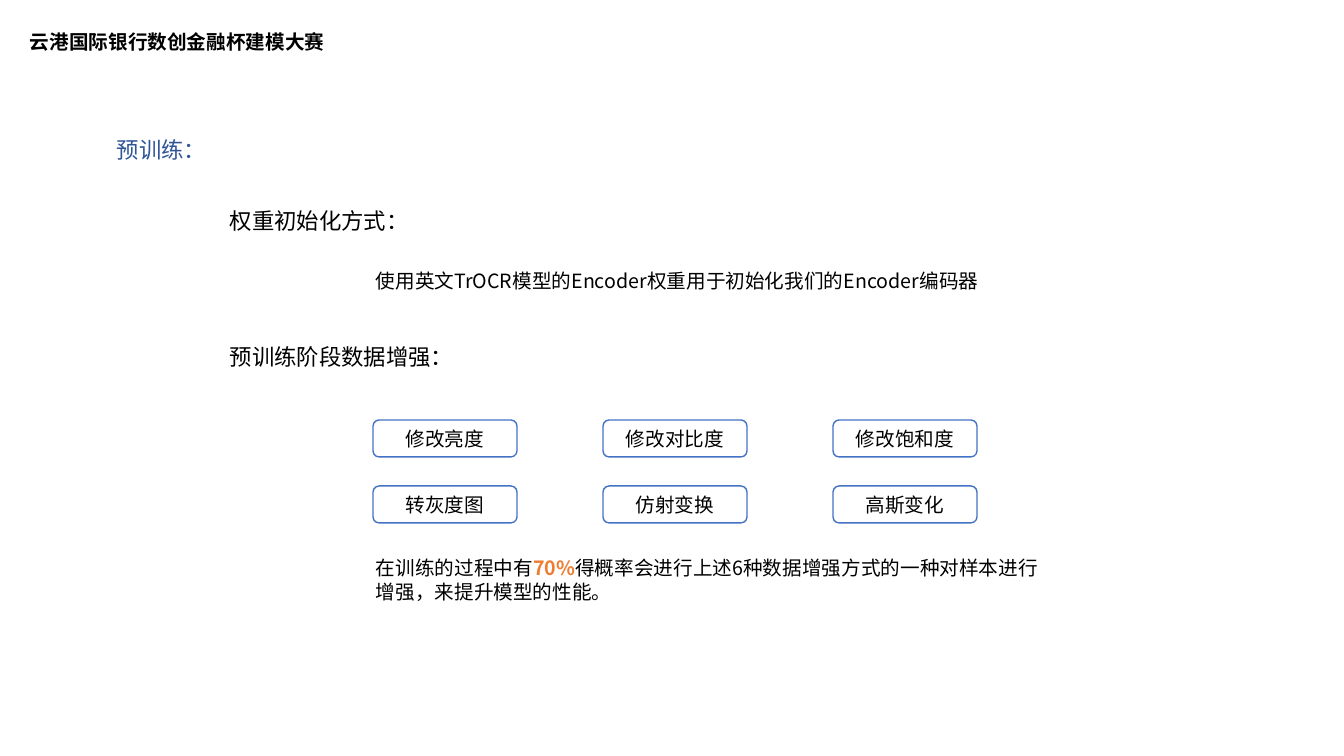
from itertools import product

from pptx import Presentation
from pptx.dml.color import RGBColor
from pptx.enum.shapes import MSO_SHAPE as Preset
from pptx.enum.text import MSO_ANCHOR as Anchor, MSO_AUTO_SIZE as AutoSize, PP_ALIGN as Align
from pptx.oxml.ns import qn
from pptx.util import Emu, Pt

BLACK = RGBColor(0x00, 0x00, 0x00)
NAVY = RGBColor(0x2F, 0x55, 0x97)
BLUE = RGBColor(0x44, 0x72, 0xC4)
ORANGE = RGBColor(0xED, 0x7D, 0x31)
PX = 914400 / 100.8


class SlideBuilder:
    """Draws styled text and boxes on one slide, measured in px."""

    sans, serif = "Noto Sans CJK SC", "Times New Roman"

    def __init__(self, presentation):
        self.slide = presentation.slides.add_slide(presentation.slide_layouts[6])

    def place(self, *lengths):
        return [Emu(round(length * PX)) for length in lengths]

    def run(self, paragraph, text, size, color=BLACK, bold=False, name=sans):
        run = paragraph.add_run()
        run.text = text
        for key, value in {"size": Pt(size), "bold": bold, "name": name}.items():
            setattr(run.font, key, value)
        run.font.color.rgb = color
        east_asian = run.font._element.makeelement(qn("a:ea"), {"typeface": self.sans})
        run.font._element.find(qn("a:latin")).addnext(east_asian)

    def frame(self, shape, **formats):
        for key, value in formats.items():
            setattr(shape.text_frame, key, value)
        return shape.text_frame.paragraphs[0]

    def text(self, area, runs, size):
        shape = self.slide.shapes.add_textbox(*self.place(*area))
        paragraph = self.frame(shape, word_wrap=True, auto_size=AutoSize.SHAPE_TO_FIT_TEXT)
        for text, formats in runs:
            self.run(paragraph, text, size, **formats)

    def box(self, area, text):
        shape = self.slide.shapes.add_shape(Preset.ROUNDED_RECTANGLE, *self.place(*area))
        shape.shadow.inherit = False
        shape.fill.background()
        shape.line.color.rgb = BLUE
        shape.line.width = Pt(1)
        paragraph = self.frame(shape, word_wrap=True, vertical_anchor=Anchor.MIDDLE)
        paragraph.alignment = Align.CENTER
        self.run(paragraph, text, 14, name=self.serif)


def main():
    presentation = Presentation()
    presentation.slide_width = Emu(round(1344 * PX))
    presentation.slide_height = Emu(round(756 * PX))
    builder = SlideBuilder(presentation)

    builder.text((20, 25, 328, 34), [("云港国际银行数创金融杯建模大赛", {"bold": True})], 14)
    builder.text((107, 131, 137, 37), [("预训练：", {"color": NAVY})], 16)
    builder.text((220, 202, 182, 37), [("权重初始化方式：", {})], 16)
    builder.text((366, 264, 838, 34),
                 [("使用英文TrOCR模型的Encoder权重用于初始化我们的Encoder编码器", {})], 14)
    builder.text((220, 338, 229, 37), [("预训练阶段数据增强：", {})], 16)

    augmentations = ["修改亮度", "修改对比度", "修改饱和度", "转灰度图", "仿射变换", "高斯变化"]
    for (row, column), label in zip(product(range(2), range(3)), augmentations):
        builder.box((373 + 230 * column, 420 + 66 * row, 144, 37), label)

    builder.text((366, 551, 684, 57), [
        ("在训练的过程中有", {}),
        ("70%", {"color": ORANGE, "bold": True}),
        ("得概率会进行上述6种数据增强方式的一种对样本进行增强，来提升模型的性能。", {}),
    ], 14)
    presentation.save("out.pptx")


if __name__ == "__main__":
    main()
